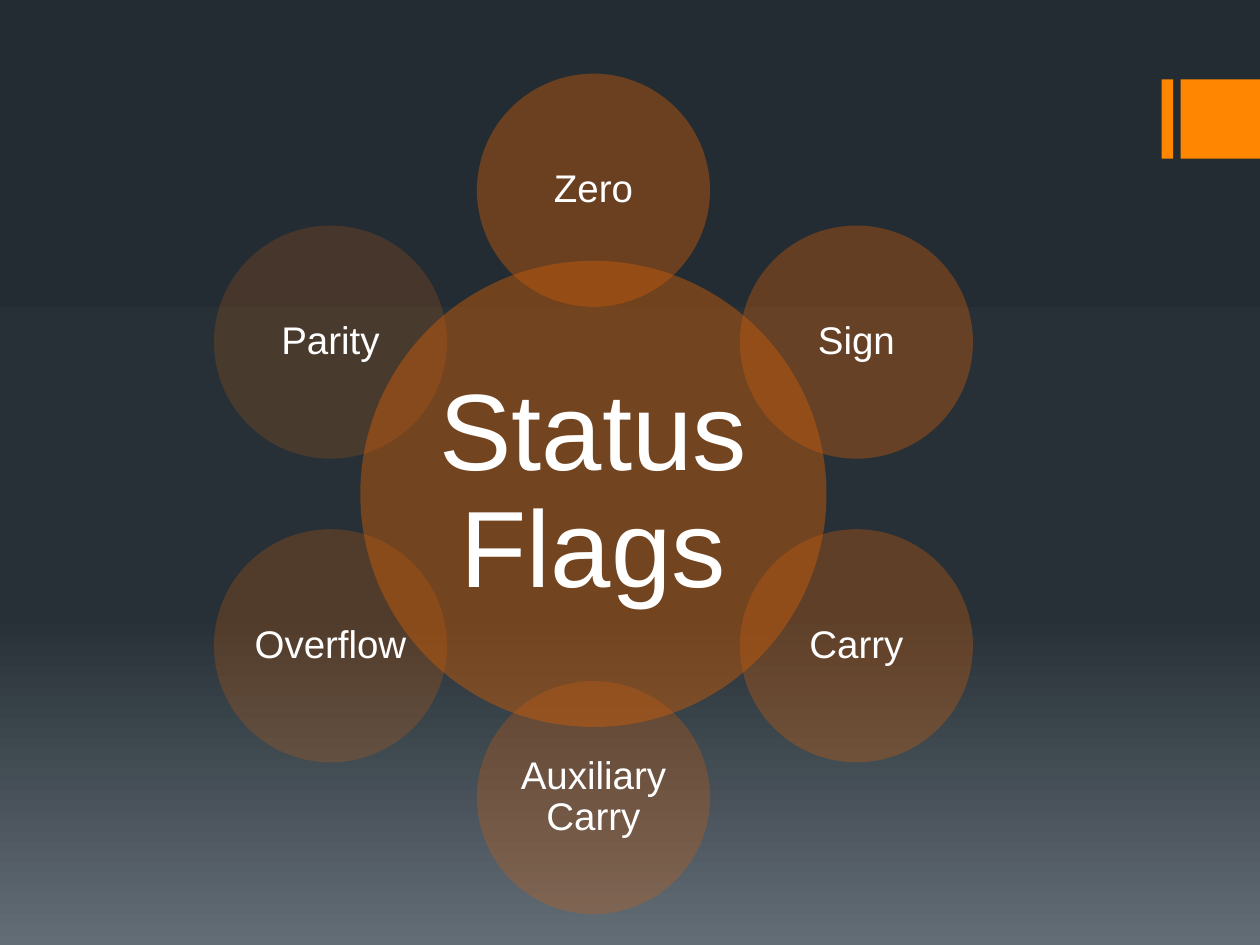
import copy
import math

import pptx
import pptx.dml.color
import pptx.enum.shapes
import pptx.enum.text
import pptx.oxml
import pptx.oxml.ns
import pptx.util

Inches = pptx.util.Inches
SHAPES = pptx.enum.shapes.MSO_SHAPE

ACCENT = "FF8600"
WHITE = "FFFFFF"
BACKGROUND_STOPS = [(0, "242C33"), (0.65, "273037"), (1, "636D76")]

CENTER_X, CENTER_Y = 4.71, 3.92
HUB_DIAMETER = 3.7
FLAG_DIAMETER = 1.85
ORBIT_RADIUS = 2.41

# Clockwise from the top: label, fill, opacity in percent
FLAGS = [
    ("Zero", "C25A0B", 45),
    ("Sign", "C55B0C", 40),
    ("Carry", "C85D0C", 35),
    ("Auxiliary Carry", "CC5F0D", 30),
    ("Overflow", "CF600D", 25),
    ("Parity", "D2620D", 20),
]


def rgb(hex_color):
    """Turn a hex string into a colour."""
    return pptx.dml.color.RGBColor.from_string(hex_color)


def set_background(slide):
    """Fill the slide with a three-stop gradient running downwards."""
    fill = slide.background.fill
    fill.gradient()
    fill.gradient_angle = 270
    first_stop = fill._fill._gradFill.gsLst[0]
    first_stop.addnext(copy.deepcopy(first_stop))
    for stop, (position, color) in zip(fill.gradient_stops, BACKGROUND_STOPS):
        stop.position = position
        stop.color.rgb = rgb(color)


def add_filled_shape(shapes, kind, left, top, width, height, color):
    """Add a flat shape without outline or shadow."""
    shape = shapes.add_shape(
        kind, Inches(left), Inches(top), Inches(width), Inches(height))
    shape.shadow.inherit = False
    shape.fill.solid()
    shape.fill.fore_color.rgb = rgb(color)
    shape.line.fill.background()
    return shape


def set_opacity(shape, percent):
    """Make the solid fill of a shape partly transparent."""
    color = shape.fill._xPr.find(".//" + pptx.oxml.ns.qn("a:srgbClr"))
    alpha = pptx.oxml.parse_xml(
        "<a:alpha %s val='%d'/>" % (pptx.oxml.ns.nsdecls("a"), percent * 1000))
    color.append(alpha)


def add_circle(shapes, label, x, y, diameter, color, opacity, size, inset):
    """Add a translucent circle centred on x, y with its label inside."""
    circle = add_filled_shape(
        shapes, SHAPES.OVAL, x - diameter / 2, y - diameter / 2,
        diameter, diameter, color)
    set_opacity(circle, opacity)
    text_frame = circle.text_frame
    text_frame.text = label
    text_frame.word_wrap = True
    text_frame.vertical_anchor = pptx.enum.text.MSO_ANCHOR.MIDDLE
    text_frame.margin_left = text_frame.margin_right = Inches(inset)
    text_frame.margin_top = text_frame.margin_bottom = Inches(inset)
    paragraph = text_frame.paragraphs[0]
    paragraph.alignment = pptx.enum.text.PP_ALIGN.CENTER
    paragraph.line_spacing = 0.9
    font = paragraph.runs[0].font
    font.name = "Arial"
    font.size = pptx.util.Pt(size)
    font.color.rgb = rgb(WHITE)


def add_radial_diagram(slide):
    """Place the hub and spread the flags evenly around it."""
    shapes = slide.shapes.add_group_shape().shapes
    add_circle(shapes, "Status Flags", CENTER_X, CENTER_Y, HUB_DIAMETER,
               "BF580B", 50, 62, 0.08)
    for index, (label, color, opacity) in enumerate(FLAGS):
        angle = 2 * math.pi * index / len(FLAGS)
        x = CENTER_X + ORBIT_RADIUS * math.sin(angle)
        y = CENTER_Y - ORBIT_RADIUS * math.cos(angle)
        add_circle(shapes, label, x, y, FLAG_DIAMETER, color, opacity, 22, 0.03)


def main():
    """Build and save the slide."""
    presentation = pptx.Presentation()
    presentation.slide_width = Inches(10)
    presentation.slide_height = Inches(7.5)
    slide = presentation.slides.add_slide(presentation.slide_layouts[6])
    set_background(slide)
    for left, width in [(9.22, 0.09), (9.37, 0.63)]:
        add_filled_shape(slide.shapes, SHAPES.RECTANGLE,
                         left, 0.63, width, 0.63, ACCENT)
    add_radial_diagram(slide)
    presentation.save("out.pptx")


main()
